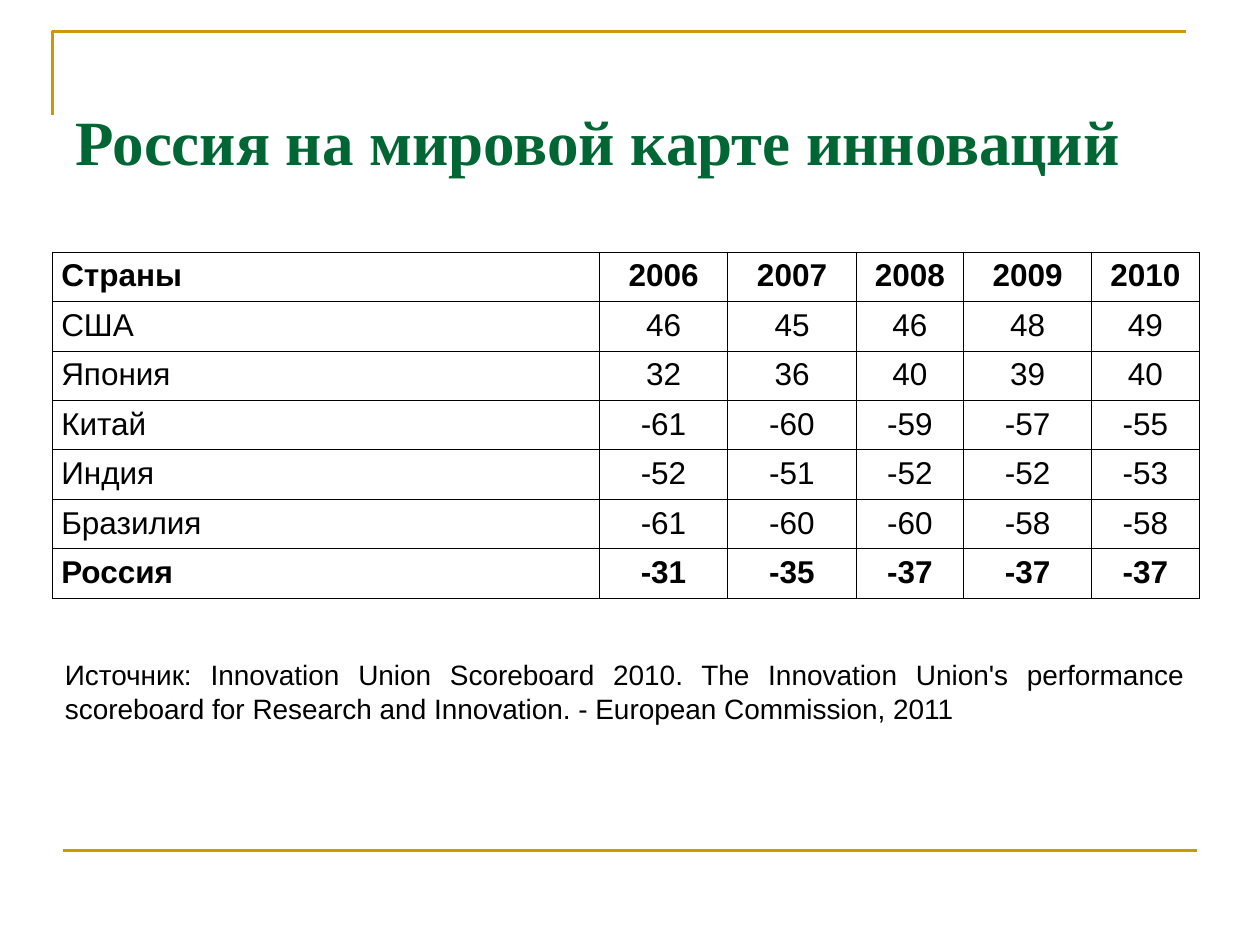
from lxml import etree
from pptx import Presentation, util as u
from pptx.dml.color import RGBColor
from pptx.enum import shapes, text
from pptx.oxml.ns import qn

COLORS = {"gold": "CC9900", "green": "006633", "black": "000000"}
CELL = u.Inches(1 / 12)  # the page is a grid of 120 columns by 90 rows
LEFT, RIGHT, CONTENT_WIDTH = 5, 114, 109
COLUMN_WIDTHS = [4.34, 1.02, 1.02, 0.85, 1.02, 0.85]
ROW_HEIGHT = 2.75 / 7
TITLE = "Россия на мировой карте инноваций"
SOURCE = (
    "Источник: Innovation Union Scoreboard 2010. The Innovation Union's performance "
    "scoreboard for Research and Innovation. - European Commission, 2011"
)
SCORES = [
    ("Страны", 2006, 2007, 2008, 2009, 2010),
    ("США", 46, 45, 46, 48, 49),
    ("Япония", 32, 36, 40, 39, 40),
    ("Китай", -61, -60, -59, -57, -55),
    ("Индия", -52, -51, -52, -52, -53),
    ("Бразилия", -61, -60, -60, -58, -58),
    ("Россия", -31, -35, -37, -37, -37),
]


def grid(*steps):
    return [round(step * CELL) for step in steps]


def color(name):
    return RGBColor.from_string(COLORS[name])


def write(frame, words, size, align, font="Arial", ink="black", bold=False):
    para = frame.paragraphs[0]
    para.alignment = align
    span = para.add_run()
    span.text = words
    span.font.name = font
    span.font.size = u.Pt(size)
    span.font.bold = bold
    span.font.color.rgb = color(ink)


def style_rule(line):
    line.color.rgb = color("gold")
    line.width = u.Pt(1.5)


def add_rules(page):
    """Draw the corner rule at the top and the straight rule at the bottom."""
    builder = page.shapes.build_freeform(*grid(LEFT, 11))
    builder.add_line_segments([grid(LEFT, 3), grid(113, 3)], close=False)
    corner = builder.convert_to_shape()
    corner.fill.background()
    corner.shadow.inherit = False
    style_rule(corner.line)

    bottom = page.shapes.add_connector(
        shapes.MSO_CONNECTOR.STRAIGHT, *grid(6, 81, RIGHT, 81)
    )
    style_rule(bottom.line)
    etree.SubElement(bottom._element.spPr, qn("a:effectLst"))


def add_borders(cell):
    properties = cell._tc.get_or_add_tcPr()
    for side in ("lnL", "lnR", "lnT", "lnB"):
        line = etree.SubElement(properties, qn(f"a:{side}"), w=str(u.Pt(0.45)))
        fill = etree.SubElement(line, qn("a:solidFill"))
        etree.SubElement(fill, qn("a:srgbClr"), val=COLORS["black"])


def add_scores(page):
    table = page.shapes.add_table(
        len(SCORES), len(COLUMN_WIDTHS),
        *grid(LEFT, 24, CONTENT_WIDTH, 33),
    ).table
    table.first_row = table.horz_banding = False
    for column, width in zip(table.columns, COLUMN_WIDTHS):
        column.width = u.Inches(width)
    for row_number, values in enumerate(SCORES):
        table.rows[row_number].height = u.Inches(ROW_HEIGHT)
        bold = row_number in (0, len(SCORES) - 1)
        for column_number, value in enumerate(values):
            cell = table.cell(row_number, column_number)
            cell.margin_left = cell.margin_right = u.Inches(0.07)
            add_borders(cell)
            cell.fill.background()
            align = text.PP_ALIGN.CENTER if column_number else text.PP_ALIGN.JUSTIFY
            write(cell.text_frame, str(value), 18, align, bold=bold)


def add_source(page):
    box = page.shapes.add_textbox(*grid(LEFT, 62, CONTENT_WIDTH, 7.7))
    frame = box.text_frame
    frame.word_wrap = True
    frame.vertical_anchor = text.MSO_ANCHOR.MIDDLE
    write(frame, SOURCE, 16, text.PP_ALIGN.JUSTIFY)


def set_title(page):
    title = page.shapes.title
    title.left, title.top, title.width, title.height = grid(6, 8.6, 108, 11.4)
    frame = title.text_frame
    frame.vertical_anchor = text.MSO_ANCHOR.TOP
    frame.margin_top = u.Inches(0.1)
    frame.auto_size = text.MSO_AUTO_SIZE.NONE
    write(frame, TITLE, 36, text.PP_ALIGN.LEFT, "Times New Roman", "green", True)


def main():
    deck = Presentation()
    deck.slide_width, deck.slide_height = grid(120, 90)
    page = deck.slides.add_slide(deck.slide_layouts[5])
    add_rules(page)
    add_scores(page)
    add_source(page)
    set_title(page)
    deck.save("out.pptx")


if __name__ == "__main__":
    main()
